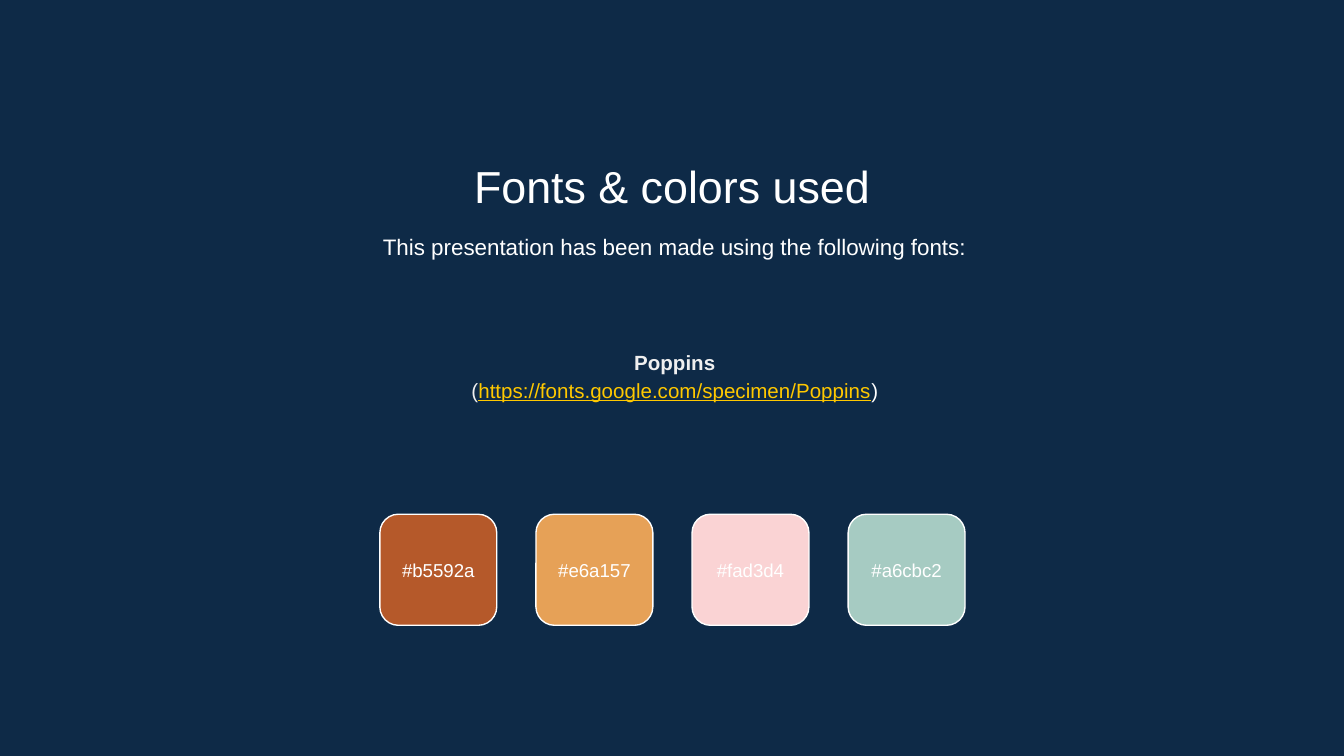
from pptx import Presentation
from pptx.dml.color import RGBColor
from pptx.enum.shapes import MSO_SHAPE
from pptx.enum.text import MSO_ANCHOR, PP_ALIGN
from pptx.util import Pt

ROUND = MSO_SHAPE.ROUNDED_RECTANGLE
TOP, MIDDLE = MSO_ANCHOR.TOP, MSO_ANCHOR.MIDDLE
CENTER = PP_ALIGN.CENTER
FONT = "Arial"
PAD = 7.2
COLORS = {"back": "0E2A47", "text": "FFFFFF", "name": "EFEFEF", "link": "FFC800"}
SWATCHES = ["b5592a", "e6a157", "fad3d4", "a6cbc2"]


def rgb(code):
    return RGBColor.from_string(code.upper())


def set_frame(frame, anchor, top=PAD):
    frame.word_wrap = True
    frame.vertical_anchor = anchor
    frame.margin_left = frame.margin_right = frame.margin_bottom = Pt(PAD)
    frame.margin_top = Pt(top)


def add_run(para, text, size, color="text", bold=False, line=False):
    run = para.add_run()
    run.text = text
    font = run.font
    font.name, font.size, font.bold, font.underline = FONT, Pt(size), bold, line
    font.color.rgb = rgb(COLORS[color])


def add_text(slide, box, lines, size, space=1.0, anchor=TOP, top=PAD):
    """Each line is a list of (text, color, bold, underline) runs."""
    frame = slide.shapes.add_textbox(*map(Pt, box)).text_frame
    set_frame(frame, anchor, top)
    for i, runs in enumerate(lines):
        para = frame.add_paragraph() if i else frame.paragraphs[0]
        para.alignment, para.line_spacing = CENTER, space
        for text, *style in runs:
            add_run(para, text, size, *style)


def add_swatches(slide, box, codes, gap):
    left, top, width, height = box
    side = (width - gap * (len(codes) - 1)) / len(codes)
    for i, code in enumerate(codes):
        x = left + i * (side + gap)
        tile = slide.shapes.add_shape(ROUND, Pt(x), Pt(top), Pt(side), Pt(height))
        tile.shadow.inherit = False
        tile.fill.solid()
        tile.fill.fore_color.rgb = rgb(code)
        tile.line.color.rgb = rgb(COLORS["text"])
        tile.line.width = Pt(0.75)
        set_frame(tile.text_frame, MIDDLE)
        para = tile.text_frame.paragraphs[0]
        para.alignment = CENTER
        add_run(para, "#" + code, 10)


def main():
    deck = Presentation()
    deck.slide_width, deck.slide_height = Pt(720), Pt(405)
    slide = deck.slides.add_slide(deck.slide_layouts[6])
    slide.background.fill.solid()
    slide.background.fill.fore_color.rgb = rgb(COLORS["back"])

    add_text(slide, (82.5, 75, 555, 38), [[("Fonts & colors used",)]], 24, top=10)
    intro = "This presentation has been made using the following fonts:"
    add_text(slide, (84, 114.5, 555, 34.5), [[(intro,)]], 12, 1.15, top=8.5)
    link = "https://fonts.google.com/specimen/Poppins"
    lines = [
        [("Poppins", "name", True)],
        [("(", "name"), (link, "link", False, True), (")",)],
    ]
    add_text(slide, (84, 151, 555, 99), lines, 11, 1.15, MIDDLE)
    add_swatches(slide, (203.5, 275.5, 313.5, 59.5), SWATCHES, 21)
    deck.save("out.pptx")


if __name__ == "__main__":
    main()
